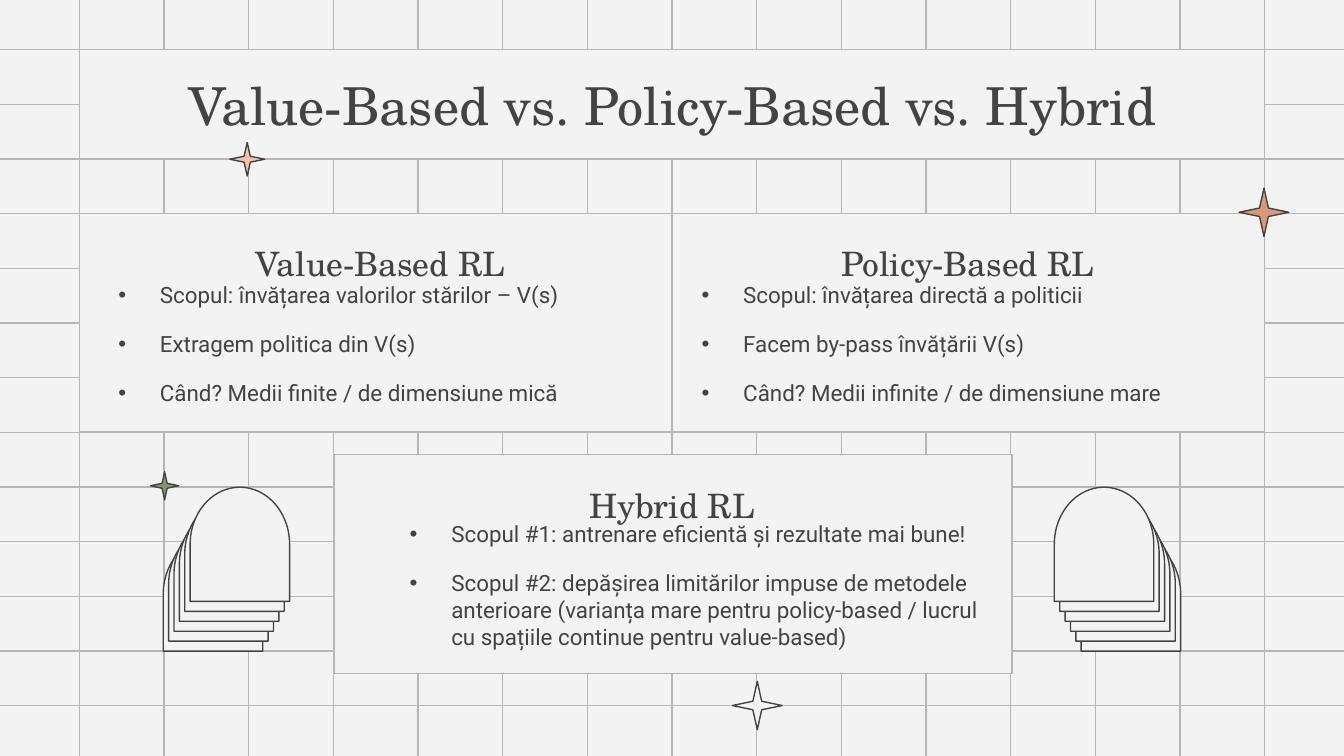
from lxml.etree import SubElement
from pptx import Presentation
from pptx.dml.color import RGBColor
from pptx.enum.shapes import MSO_CONNECTOR, MSO_SHAPE as Kind
from pptx.enum.text import MSO_ANCHOR as Anchor, MSO_AUTO_SIZE as Auto, PP_ALIGN as Align
from pptx.oxml.ns import qn
from pptx.util import Inches, Pt

# Content
TITLE = "Value-Based vs. Policy-Based vs. Hybrid"
# Each card: panel, heading box, list box, heading, points
CARDS = [
    ((0.59, 1.59, 4.41, 1.62), (0.78, 1.74, 4.1, 0.47), (0.78, 1.99, 4.25, 1.09),
     "Value-Based RL",
     ["Scopul: învățarea valorilor stărilor – V(s)",
      "Extragem politica din V(s)",
      "Când? Medii finite / de dimensiune mică"]),
    ((5, 1.59, 4.41, 1.62), (5.15, 1.74, 4.1, 0.47), (5.12, 1.99, 4.1, 1.09),
     "Policy-Based RL",
     ["Scopul: învățarea directă a politicii",
      "Facem by-pass învățării V(s)",
      "Când? Medii infinite / de dimensiune mare"]),
    ((2.49, 3.38, 5.04, 1.63), (2.95, 3.54, 4.1, 0.47), (2.95, 3.77, 4.43, 1.24),
     "Hybrid RL",
     ["Scopul #1: antrenare eficientă și rezultate mai bune!",
      "Scopul #2: depășirea limitărilor impuse de metodele anterioare "
      "(varianța mare pentru policy-based / lucrul cu spațiile continue "
      "pentru value-based)"]),
]
PAPER, INK, GREY = "F3F3F3", "434343", "B7B7B7"
SERIF, SANS = "TeX Gyre Schola", "Roboto"
STARS = [
    ((5.45, 5.07, 0.37, 0.36), PAPER),
    ((1.71, 1.06, 0.26, 0.25), "F2C2AB"),
    ((9.22, 1.4, 0.37, 0.36), "D9997D"),
    ((1.12, 3.51, 0.21, 0.21), "859477"),
]
# Arch stacks: left edge of the rear arch, step to the next one
STACKS = [(7.99, -0.04), (1.16, 0.04)]
HEAD = {"anchor": Anchor.BOTTOM, "align": Align.CENTER, "size": 18, "font": SERIF, "after": 12}
LIST = {"anchor": Anchor.TOP, "align": Align.LEFT, "size": 12, "font": SANS, "after": 12}
MAIN = {"anchor": Anchor.MIDDLE, "align": Align.CENTER, "size": 28, "font": SERIF, "after": 0}

deck = Presentation()
deck.slide_width, deck.slide_height = Inches(10), Inches(10 * 9 / 16)
slide = deck.slides.add_slide(deck.slide_layouts[4])
shapes = slide.shapes
slots = list(slide.placeholders)


def paint(target, shade):
    target.solid()
    target.fore_color.rgb = RGBColor.from_string(shade)


def style(shape, fill, edge):
    paint(shape.fill, fill)
    paint(shape.line.fill, edge)
    shape.line.width = Pt(0.75)


def place(shape, box):
    for name, value in zip(("left", "top", "width", "height"), box):
        setattr(shape, name, Inches(value))


def draw(kind, box, fill, edge):
    shape = shapes.add_shape(kind, *map(Inches, box))
    shape.shadow.inherit = False
    style(shape, fill, edge)
    return shape


def rule(x1, y1, x2, y2):
    line = shapes.add_connector(MSO_CONNECTOR.STRAIGHT, *map(Inches, (x1, y1, x2, y2)))
    paint(line.line.fill, GREY)
    line.line.width = Pt(0.75)
    SubElement(line._element.spPr, qn("a:effectLst"))


def star(box, fill):
    draw(Kind.STAR_4_POINT, box, fill, INK).adjustments[0] = 0.125


def write(shape, box, texts, look, dots=False):
    shapes._spTree.append(shape._element)  # bring to the front
    place(shape, box)
    frame = shape.text_frame
    edges = {f"margin_{side}": Inches(0.1) for side in ("left", "top", "right", "bottom")}
    form = {"word_wrap": True, "auto_size": Auto.NONE, "vertical_anchor": look["anchor"]}
    for name, value in {**edges, **form}.items():
        setattr(frame, name, value)
    frame.text = "\n".join(texts)
    for para in frame.paragraphs:
        gaps = {"alignment": look["align"], "line_spacing": 1.0,
                "space_before": Pt(0), "space_after": Pt(look["after"])}
        for name, value in gaps.items():
            setattr(para, name, value)
        font = para.runs[0].font
        for name, value in {"size": Pt(look["size"]), "name": look["font"], "bold": False}.items():
            setattr(font, name, value)
        paint(font.fill, INK)
        props = para._p.get_or_add_pPr()
        inset = Inches(0.31) if dots else 0
        props.set("marL", str(inset))
        props.set("indent", str(-inset))
        if dots:
            SubElement(props, qn("a:buFont"), typeface="Arial")
            SubElement(props, qn("a:buChar"), char="•")
        else:
            SubElement(props, qn("a:buNone"))


# Background grid
paint(slide.background.fill, PAPER)
for i in range(15):
    x = 0.59 + 0.63 * i
    rule(x, -0.03, x, 5.66)
for i in range(13):
    y = 0.37 + 4.88 / 12 * i
    rule(-0.04, y, 10.04, y)

# Title
write(slots[0], (0.59, 0.37, 8.82, 0.81), [TITLE], MAIN)
style(slots[0], PAPER, GREY)

# Cards: the layout holds two pairs of slots, the third card gets text boxes
pairs = [slots[1:3], slots[3:5], [shapes.add_textbox(0, 0, 0, 0) for _ in range(2)]]
for (panel, top, body, head, points), (name, items) in zip(CARDS, pairs):
    draw(Kind.RECTANGLE, panel, PAPER, GREY)
    write(name, top, [head], HEAD)
    write(items, body, points, LIST, dots=True)

# Arch stacks, from back to front
for left, step in STACKS:
    for i in range(6):
        box = (left + step * i, 4.05 - 0.074 * i, 0.85, 0.74)
        draw(Kind.FLOWCHART_DELAY, box, PAPER, INK).rotation = 270

# Stars
for box, fill in STARS:
    star(box, fill)

deck.save("out.pptx")
